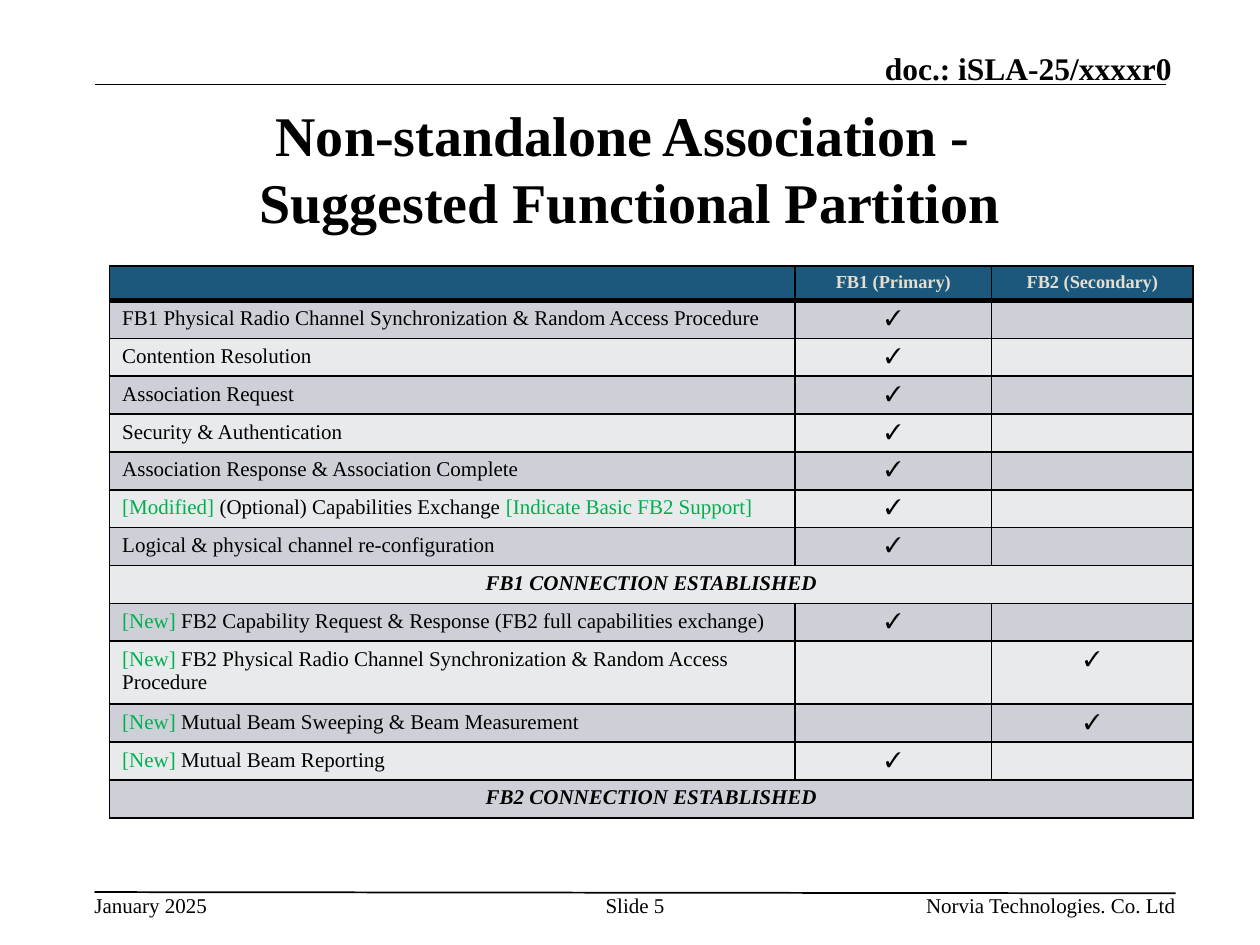
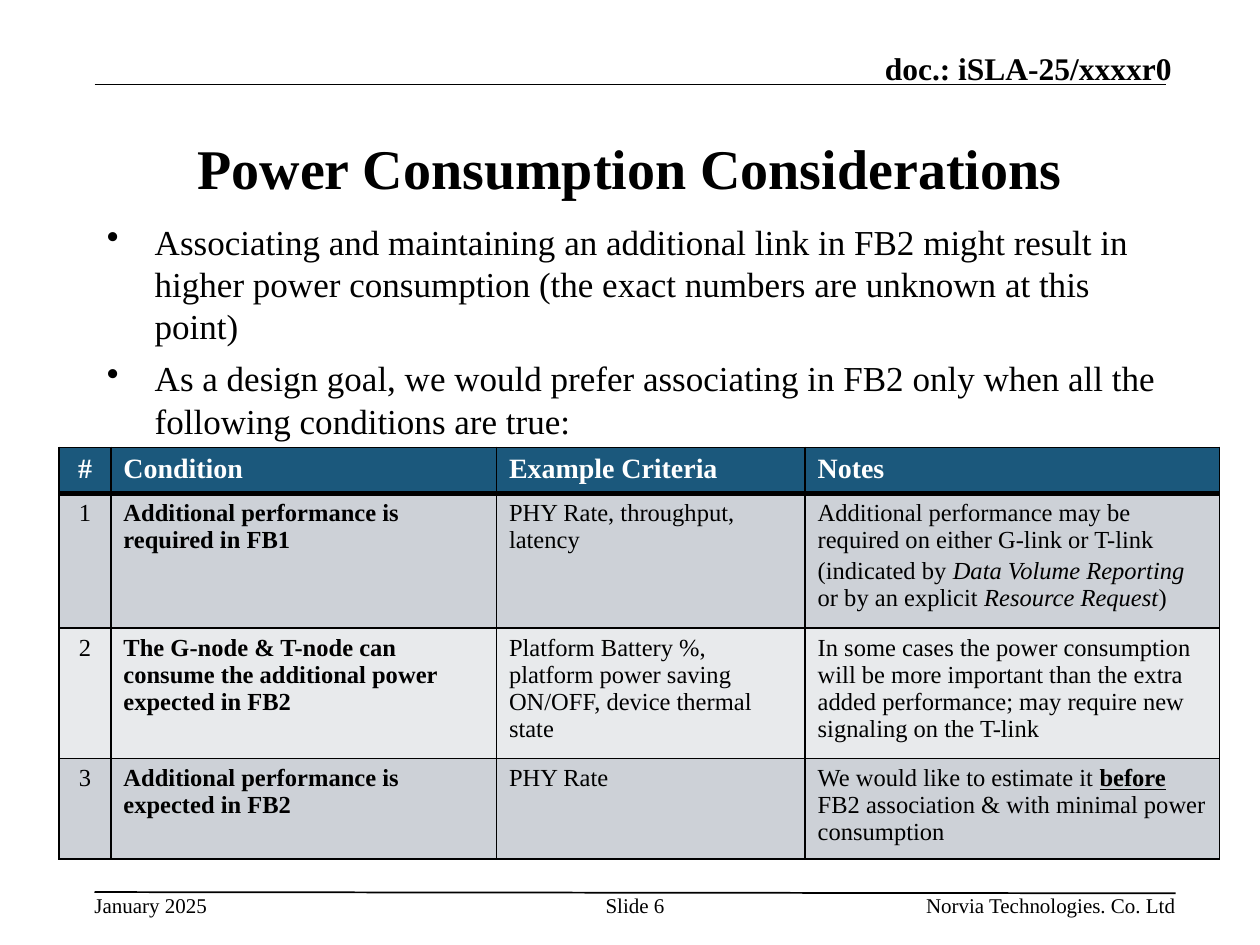
"""Build two slides on non-standalone association and power use."""
from dataclasses import dataclass

from lxml.etree import SubElement
from pptx import Presentation
from pptx.dml.color import RGBColor
from pptx.enum.shapes import MSO_CONNECTOR
from pptx.enum.text import MSO_ANCHOR, PP_ALIGN
from pptx.oxml.ns import qn
from pptx.util import Inches, Pt


@dataclass(frozen=True)
class Theme:
    font: str = "Times New Roman"
    ink: str = "000000"
    white: str = "FFFFFF"
    cream: str = "E3DED1"
    navy: str = "1B587C"
    green: str = "00B050"
    bands: tuple = ("CDD1D7", "E8EAEC")
    title: float = 32
    body: float = 20
    doc: float = 18
    foot: float = 12
    note: float = 14
    head: float = 16
    task: float = 12
    small: float = 10.5


THEME = Theme()


@dataclass(frozen=True)
class Bit:
    text: str
    color: str = THEME.ink
    bold: bool = False
    italic: bool = False
    under: bool = False
    size: float = 0


@dataclass(frozen=True)
class Label:
    text: str
    left: float
    top: float
    width: float
    height: float
    size: float
    align: PP_ALIGN = PP_ALIGN.LEFT
    anchor: MSO_ANCHOR = MSO_ANCHOR.TOP
    bold: bool = False


@dataclass(frozen=True)
class Rule:
    left: float
    top: float
    right: float
    base: float


@dataclass(frozen=True)
class Grid:
    left: float
    top: float
    widths: tuple
    least: float
    head: tuple
    rows: tuple
    size: float
    head_size: float
    head_color: str
    centred: tuple
    strong: tuple = ()


RULES = (Rule(0.75, 0.67, 9.25, 0.67), Rule(0.75, 7.08, 9.33, 7.09))
MARKS = (
    Label("doc.: iSLA-25/xxxxr0", 5.47, 0.39, 3.83, 0.3, THEME.doc,
          PP_ALIGN.RIGHT, MSO_ANCHOR.BOTTOM, True),
    Label("January 2025", 0.75, 7.08, 2, 0.2, THEME.foot),
    Label("Norvia Technologies. Co. Ltd", 6.33, 7.08, 3, 0.2, THEME.foot,
          PP_ALIGN.RIGHT),
)

TICK = "✓"
FIRST = (TICK, "")
SECOND = ("", TICK)


def fresh(text: str) -> tuple:
    """Return a row label marked as new."""
    return Bit("[New] ", THEME.green), Bit(text)


def banner(text: str) -> tuple:
    """Return a row that spans the whole table."""
    return ((Bit(text, bold=True, italic=True),),)


PARTS = Grid(
    0.87, 2.11, (5.44, 1.56, 1.6), 0.17,
    ("", "FB1 (Primary)", "FB2 (Secondary)"),
    (
        ("FB1 Physical Radio Channel Synchronization & Random Access Procedure", *FIRST),
        ("Contention Resolution", *FIRST),
        ("Association Request", *FIRST),
        ("Security & Authentication", *FIRST),
        ("Association Response & Association Complete", *FIRST),
        ((Bit("[Modified] ", THEME.green),
          Bit("(Optional) Capabilities Exchange "),
          Bit("[Indicate Basic FB2 Support]", THEME.green)), *FIRST),
        ("Logical & physical channel re-configuration", *FIRST),
        banner("FB1 CONNECTION ESTABLISHED"),
        (fresh("FB2 Capability Request & Response (FB2 full capabilities exchange)"), *FIRST),
        (fresh("FB2 Physical Radio Channel Synchronization & Random Access Procedure"), *SECOND),
        (fresh("Mutual Beam Sweeping & Beam Measurement"), *SECOND),
        (fresh("Mutual Beam Reporting"), *FIRST),
        banner("FB2 CONNECTION ESTABLISHED"),
    ),
    THEME.task, THEME.small, THEME.cream, (1, 2),
)

NEEDS = Grid(
    0.47, 3.55, (0.41, 3.06, 2.45, 3.29), 0.3,
    ("#", "Condition", "Example Criteria", "Notes"),
    (
        ("1", "Additional performance is required in FB1",
         "PHY Rate, throughput, latency",
         (Bit("Additional performance may be required on either G-link or T-link (indicated by "),
          Bit("Data Volume Reporting", italic=True),
          Bit(" ", size=THEME.head),
          Bit("or by an explicit "),
          Bit("Resource Request", italic=True),
          Bit(")"))),
        ("2", "The G-node & T-node can consume the additional power expected in FB2",
         "Platform Battery %, platform power saving ON/OFF, device thermal state",
         "In some cases the power consumption will be more important than the extra "
         "added performance; may require new signaling on the T-link"),
        ("3", "Additional performance is expected in FB2", "PHY Rate",
         (Bit("We would like to estimate it "),
          Bit("before", bold=True, under=True),
          Bit(" FB2 association & with minimal power consumption"))),
    ),
    THEME.note, THEME.head, THEME.white, (0,), (1,),
)

GOALS = (
    "Associating and maintaining an additional link in FB2 might result in higher "
    "power consumption (the exact numbers are unknown at this point)",
    "As a design goal, we would prefer associating in FB2 only when all the "
    "following conditions are true:",
)


def style(font, size: float, color: str = THEME.ink, bold: bool = False) -> None:
    """Apply the theme font to a run."""
    font.name = THEME.font
    font.size = Pt(size)
    font.bold = bold
    font.color.rgb = RGBColor.from_string(color)


def draw_label(slide, label: Label) -> None:
    """Draw one text box without insets."""
    box = slide.shapes.add_textbox(Inches(label.left), Inches(label.top),
                                   Inches(label.width), Inches(label.height))
    frame = box.text_frame
    frame.word_wrap = True
    frame.margin_left = frame.margin_right = 0
    frame.margin_top = frame.margin_bottom = 0
    frame.vertical_anchor = label.anchor
    frame.text = label.text
    for para in frame.paragraphs:
        para.alignment = label.align
        for run in para.runs:
            style(run.font, label.size, bold=label.bold)


def draw_rule(slide, rule: Rule) -> None:
    """Draw one thin line."""
    line = slide.shapes.add_connector(
        MSO_CONNECTOR.STRAIGHT, Inches(rule.left), Inches(rule.top),
        Inches(rule.right), Inches(rule.base))
    line.line.width = Pt(1)
    line.line.color.rgb = RGBColor.from_string(THEME.ink)
    SubElement(line._element.spPr, qn("a:effectLst"))


def draw_goals(slide, goals: tuple) -> None:
    """Draw the bulleted body text."""
    box = slide.shapes.add_textbox(Inches(0.75), Inches(1.7), Inches(8.6), Inches(1.85))
    frame = box.text_frame
    frame.word_wrap = True
    frame.text = "\n".join(goals)
    for spot, para in enumerate(frame.paragraphs):
        props = para._p.get_or_add_pPr()
        props.set("marL", str(Inches(0.38)))
        props.set("indent", str(-Inches(0.38)))
        SubElement(props, qn("a:buChar"), char="•")
        if spot:
            para.space_before = Pt(6)
        style(para.runs[0].font, THEME.body)


def edge(cell, row: int) -> None:
    """Give a cell its borders, thick below the head row."""
    props = cell._tc.get_or_add_tcPr()
    thick = {"lnB": 0, "lnT": 1}
    for side in ("lnL", "lnR", "lnT", "lnB"):
        width = Pt(3 if thick.get(side) == row else 1)
        line = SubElement(props, qn(f"a:{side}"), w=str(width))
        fill = SubElement(line, qn("a:solidFill"))
        SubElement(fill, qn("a:srgbClr"), val=THEME.ink)


def fill_cell(cell, bits: tuple, size: float, align: PP_ALIGN) -> None:
    """Write styled runs into a cell."""
    para = cell.text_frame.paragraphs[0]
    para.alignment = align
    for bit in bits:
        run = para.add_run()
        run.text = bit.text
        style(run.font, bit.size or size, bit.color, bit.bold)
        run.font.italic = bit.italic
        run.font.underline = bit.under
    if not bits:
        SubElement(para._p, qn("a:endParaRPr"), sz=str(int(size * 100)))


def draw_grid(slide, grid: Grid) -> None:
    """Draw one banded table whose rows grow to fit their text."""
    rows = (grid.head, *grid.rows)
    table = slide.shapes.add_table(
        len(rows), len(grid.widths), Inches(grid.left), Inches(grid.top),
        Inches(sum(grid.widths)), Inches(grid.least * len(rows))).table
    for col, width in zip(table.columns, grid.widths):
        col.width = Inches(width)
    last = len(grid.widths) - 1
    for r, texts in enumerate(rows):
        wide = len(texts) == 1
        size = grid.size if r else grid.head_size
        color = THEME.ink if r else grid.head_color
        shade = THEME.bands[(r - 1) % 2] if r else THEME.navy
        for c in range(last + 1):
            cell = table.cell(r, c)
            text = texts[c] if c < len(texts) else ""
            if isinstance(text, str):
                bold = r == 0 or c in grid.strong
                text = (Bit(text, color, bold),) if text else ()
            centre = wide or c in grid.centred
            fill_cell(cell, text, size, PP_ALIGN.CENTER if centre else PP_ALIGN.LEFT)
            edge(cell, r)
            cell.fill.solid()
            cell.fill.fore_color.rgb = RGBColor.from_string(shade)
        if wide:
            table.cell(r, 0).merge(table.cell(r, last))


def add_page(deck, title: str, number: int):
    """Add a slide with the shared lines, marks and title."""
    slide = deck.slides.add_slide(deck.slide_layouts[6])
    for rule in RULES:
        draw_rule(slide, rule)
    for mark in MARKS:
        draw_label(slide, mark)
    draw_label(slide, Label(title, 0.75, 0.75, 8.5, 1.16, THEME.title, PP_ALIGN.CENTER,
                            MSO_ANCHOR.MIDDLE, True))
    draw_label(slide, Label(f"Slide {number}", 4.75, 7.08, 0.58, 0.4, THEME.foot,
                            PP_ALIGN.CENTER))
    return slide


def main() -> None:
    """Build and save the deck."""
    deck = Presentation()
    deck.slide_width = Inches(10)
    deck.slide_height = Inches(7.5)
    split = add_page(deck, "Non-standalone Association - \vSuggested Functional Partition", 5)
    draw_grid(split, PARTS)
    power = add_page(deck, "Power Consumption Considerations", 6)
    draw_goals(power, GOALS)
    draw_grid(power, NEEDS)
    deck.save("out.pptx")


if __name__ == "__main__":
    main()
